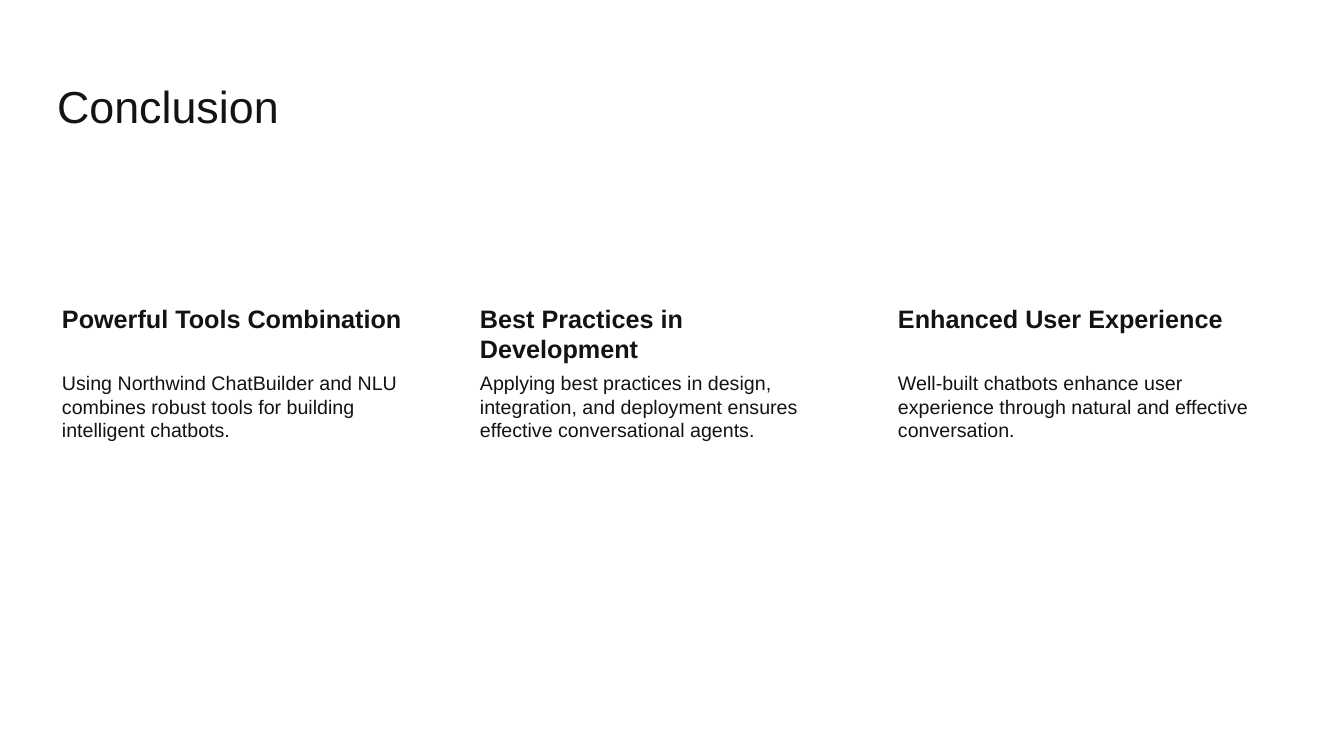
"""Build the conclusion slide with three takeaways in equal columns."""
from dataclasses import dataclass

from pptx import Presentation
from pptx.dml.color import RGBColor
from pptx.enum.text import MSO_ANCHOR as Anchor, MSO_AUTO_SIZE as AutoSize, PP_ALIGN as Align
from pptx.shapes.autoshape import Shape
from pptx.shapes.shapetree import GroupShapes
from pptx.util import Emu, Pt

PX = 914400 / 100.8


@dataclass(frozen=True)
class Theme:
    """Colour, typeface and type sizes of the slide."""
    ink: RGBColor = RGBColor(0x13, 0x13, 0x13)
    font: str = "Arial"
    title: int = 32
    heading: int = 18
    detail: int = 14


@dataclass(frozen=True)
class Takeaway:
    """One column's heading and detail."""
    heading: str
    detail: str


@dataclass(frozen=True)
class Row:
    """Vertical place and text style shared by one row of boxes."""
    top: int
    height: int
    inset: int
    size: int
    bold: bool


THEME = Theme()
LEFT, COLUMN_WIDTH, COLUMN_PITCH, TEXT_INDENT = 47, 380, 418, 15
HEADING_ROW = Row(300, 69, 3, THEME.heading, True)
DETAIL_ROW = Row(369, 179, 2, THEME.detail, False)
TAKEAWAYS = (
    Takeaway("Powerful Tools Combination",
             "Using Northwind ChatBuilder and NLU combines robust tools "
             "for building intelligent chatbots."),
    Takeaway("Best Practices in Development",
             "Applying best practices in design, integration, and deployment "
             "ensures effective conversational agents."),
    Takeaway("Enhanced User Experience",
             "Well-built chatbots enhance user experience through natural "
             "and effective conversation."),
)


def px(length: int) -> Emu:
    """Turn whole pixels into EMU."""
    return Emu(round(length * PX))


def apply(target: object, formats: dict[str, object]) -> None:
    """Set every attribute named in the formats."""
    for name, value in formats.items():
        setattr(target, name, value)


def write(box: Shape, text: str, size: int, bold: bool,
          frame_formats: dict[str, object]) -> None:
    """Fill a box with one left-aligned paragraph."""
    frame = box.text_frame
    apply(frame, {"word_wrap": True, "auto_size": AutoSize.NONE, **frame_formats})
    para = frame.paragraphs[0]
    para.alignment = Align.LEFT
    span = para.add_run()
    span.text = text
    apply(span.font, {"name": THEME.font, "size": Pt(size), "bold": bold})
    span.font.color.rgb = THEME.ink


def add_text(shapes: GroupShapes, left: int, row: Row, text: str) -> None:
    """Add one column's box in the given row."""
    box = shapes.add_textbox(px(left), px(row.top), px(COLUMN_WIDTH), px(row.height))
    inset = px(row.inset)
    write(box, text, row.size, row.bold, {
        "margin_left": px(TEXT_INDENT), "margin_top": inset,
        "margin_right": inset, "margin_bottom": inset,
        "vertical_anchor": Anchor.TOP})


def main() -> None:
    """Create and save the slide."""
    deck = Presentation()
    apply(deck, {"slide_width": px(1344), "slide_height": px(756)})
    page = deck.slides.add_slide(deck.slide_layouts.get_by_name("Title Only"))

    title = page.shapes.title
    apply(title, {"left": px(LEFT), "top": px(35), "width": px(756), "height": px(103)})
    write(title, "Conclusion", THEME.title, False, {"vertical_anchor": Anchor.BOTTOM})
    title.text_frame.paragraphs[0].line_spacing = 0.9

    columns = page.shapes.add_group_shape().shapes
    for index, takeaway in enumerate(TAKEAWAYS):
        left = LEFT + index * COLUMN_PITCH
        add_text(columns, left, HEADING_ROW, takeaway.heading)
        add_text(columns, left, DETAIL_ROW, takeaway.detail)

    deck.save("out.pptx")


if __name__ == "__main__":
    main()
